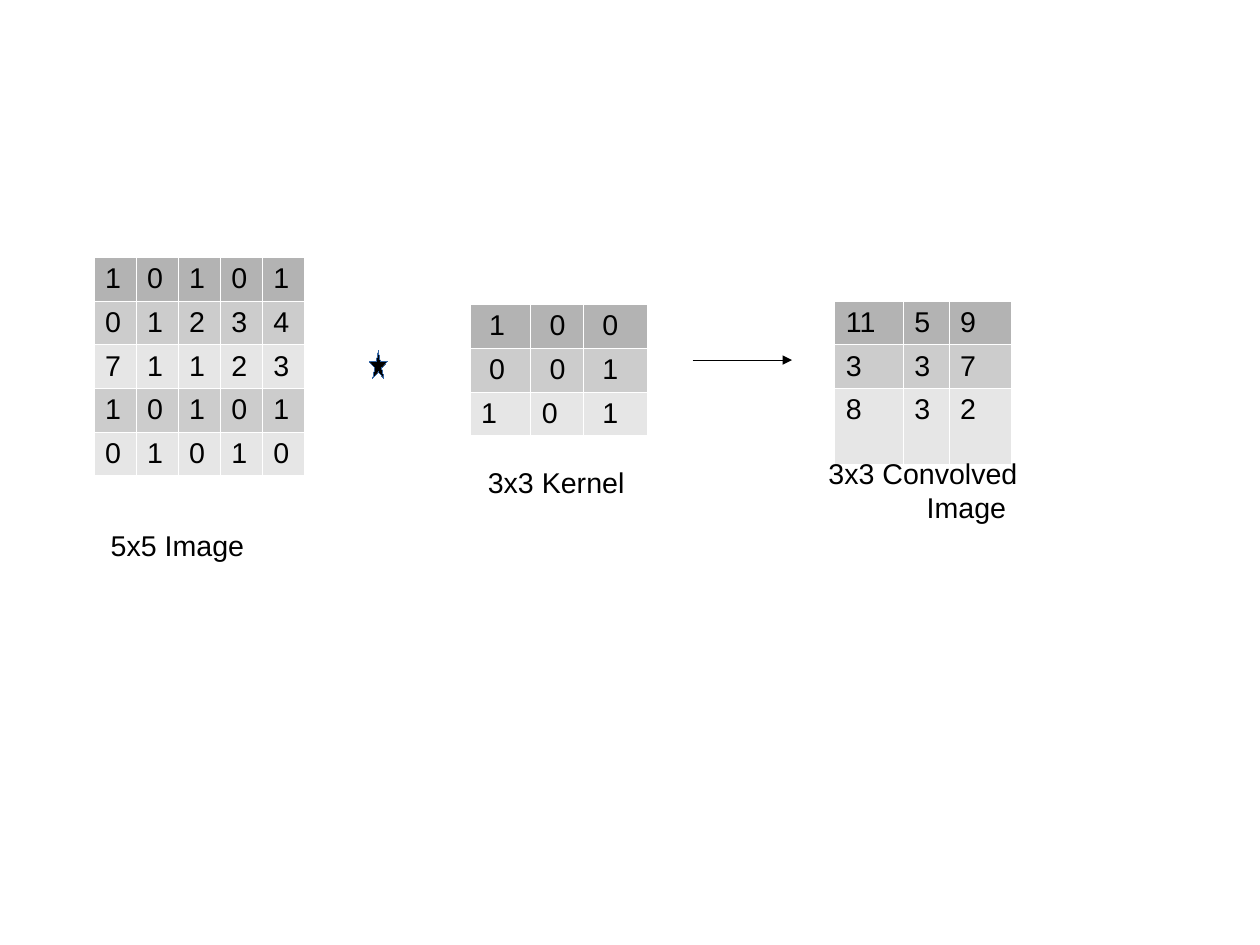
"""Build a slide showing a 5x5 image convolved with a 3x3 kernel."""
import pptx
import pptx.util
import pptx.dml.color
import pptx.enum.shapes
import pptx.oxml.ns
from lxml import etree

Inches, Pt = pptx.util.Inches, pptx.util.Pt
RGB = pptx.dml.color.RGBColor.from_string
qn = pptx.oxml.ns.qn

THEME = {
    "font": {"name": "Arial", "size": Pt(18), "bold": False},
    "ink": "000000",
    "outline": "3465A4",
    "border": "FFFFFF",
    "header": "B3B3B3",
    "bands": ["CCCCCC", "E6E6E6"],
}
SPACE = 0.07
ROW = 1.15 / 3


def write(p, text):
    r = p.add_run()
    r.text = text
    for name, value in THEME["font"].items():
        setattr(r.font, name, value)
    r.font.color.rgb = RGB(THEME["ink"])


def add_border(cell):
    for side in ("lnL", "lnR", "lnT", "lnB"):
        ln = etree.SubElement(cell._tc.get_or_add_tcPr(), qn("a:" + side), w=str(Pt(0.06)))
        fill = etree.SubElement(ln, qn("a:solidFill"))
        etree.SubElement(fill, qn("a:srgbClr"), val=THEME["border"])


prs = pptx.Presentation()
prs.slide_width = Inches(28 / 2.54)
prs.slide_height = Inches(21 / 2.54)
s = prs.slides.add_slide(prs.slide_layouts[6])

image = {
    "at": (0.82, 2.25), "cols": [1.84 / 5] * 5, "rows": [1.91 / 5] * 5, "indented": [],
    "values": ["1 0 1 0 1", "0 1 2 3 4", "7 1 1 2 3", "1 0 1 0 1", "0 1 0 1 0"],
}
kernel = {
    "at": (4.11, 2.66), "cols": [0.53, 0.46, 0.56], "rows": [ROW] * 3,
    "indented": [(0, 0), (0, 1), (0, 2), (1, 0), (1, 1), (1, 2), (2, 2)],
    "values": ["1 0 0", "0 0 1", "1 0 1"],
}
convolved = {
    "at": (7.3, 2.63), "cols": [0.6, 0.4, 0.55], "rows": [ROW, ROW, 0.66], "indented": [],
    "values": ["11 5 9", "3 3 7", "8 3 2"],
}

for grid in (image, kernel, convolved):
    cols, rows = grid["cols"], grid["rows"]
    box = [Inches(v) for v in (*grid["at"], sum(cols), sum(rows))]
    table = s.shapes.add_table(len(rows), len(cols), *box).table
    for col, width in zip(table.columns, cols):
        col.width = Inches(width)
    for i, (row, height) in enumerate(zip(table.rows, rows)):
        row.height = Inches(height)
        color = THEME["bands"][(i - 1) % 2] if i else THEME["header"]
        for j, value in enumerate(grid["values"][i].split()):
            cell = table.cell(i, j)
            cell.margin_left = Inches(0.1 + SPACE * ((i, j) in grid["indented"]))
            add_border(cell)
            cell.fill.solid()
            cell.fill.fore_color.rgb = RGB(color)
            write(cell.text_frame.paragraphs[0], value)

arrow = s.shapes.add_connector(
    pptx.enum.shapes.MSO_CONNECTOR.STRAIGHT,
    Inches(6.06), Inches(3.15), Inches(6.93), Inches(3.15))
arrow.line.color.rgb = RGB(THEME["ink"])
etree.SubElement(arrow.line._get_or_add_ln(), qn("a:tailEnd"), type="triangle")
etree.SubElement(arrow._element.spPr, qn("a:effectLst"))

captions = [
    ("5x5 Image", (0.87, 4.57, 1.81, 0.38), 0, 0),
    ("3x3 Kernel", (4.17, 4.02, 1.5, 0.38), 0, 0),
    ("3x3 Convolved Image", (7.01, 3.94, 2.2, 0.66), 2 * SPACE, 1),
]
for text, box, first, rest in captions:
    tf = s.shapes.add_textbox(*map(Inches, box)).text_frame
    tf.word_wrap = True
    p = tf.paragraphs[0]
    pPr = p._p.get_or_add_pPr()
    pPr.set("marL", str(Inches(rest)))
    pPr.set("indent", str(Inches(first - rest)))
    write(p, text)

star = s.shapes.add_shape(
    pptx.enum.shapes.MSO_SHAPE.STAR_5_POINT,
    Inches(3.23), Inches(3.07), Inches(0.16), Inches(0.24))
star.shadow.inherit = False
star.fill.solid()
star.fill.fore_color.rgb = RGB(THEME["ink"])
star.line.color.rgb = RGB(THEME["outline"])

for shape in (arrow, star):
    shape.line._get_or_add_ln().set("w", "0")

prs.save("out.pptx")
